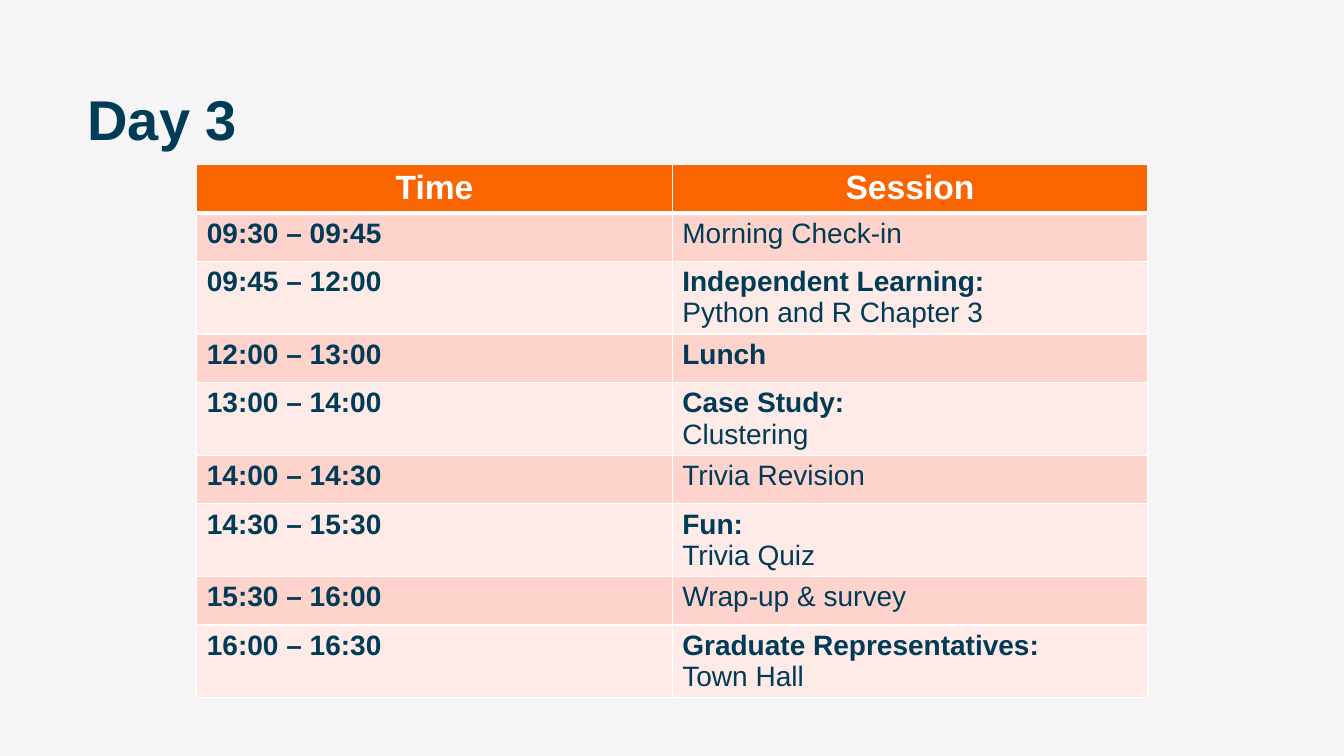
"""Build the Day 3 timetable slide."""
from lxml.etree import SubElement
from pptx import Presentation
from pptx.dml.color import RGBColor
from pptx.enum.text import MSO_ANCHOR, PP_ALIGN
from pptx.oxml.ns import qn
from pptx.util import Pt

TITLE = "Day 3"
HEADS = ["Time", "Session"]
ROWS = [
    ("09:30 – 09:45", "", "Morning Check-in"),
    ("09:45 – 12:00", "Independent Learning:", "Python and R Chapter 3"),
    ("12:00 – 13:00", "Lunch", ""),
    ("13:00 – 14:00", "Case Study:", "Clustering"),
    ("14:00 – 14:30", "", "Trivia Revision"),
    ("14:30 – 15:30", "Fun:", "Trivia Quiz"),
    ("15:30 – 16:00", "", "Wrap-up & survey"),
    ("16:00 – 16:30", "Graduate Representatives:", "Town Hall"),
]

FONT = "Arial"
PAPER = RGBColor(0xF5, 0xF5, 0xF6)
NAVY = RGBColor(0x00, 0x3C, 0x58)
INK = RGBColor(0x00, 0x3B, 0x57)
WHITE = RGBColor(0xFF, 0xFF, 0xFF)
ORANGE = RGBColor(0xFA, 0x64, 0x01)
PINK = RGBColor(0xFD, 0xD3, 0xCC)
PALE = RGBColor(0xFE, 0xEA, 0xE7)

LEFT, TOP, COL = 140.6, 117.4, 339.6
LOW, TALL = 34.56, 52.1


def add_run(para, text, size, color, bold):
    run = para.add_run()
    run.text = text
    run.font.name = FONT
    run.font.size = Pt(size)
    run.font.bold = bold
    run.font.color.rgb = color


def add_edges(cell, base):
    props = cell._tc.get_or_add_tcPr()
    for tag, width in (("lnL", 1), ("lnR", 1), ("lnT", 1), ("lnB", base)):
        line = SubElement(props, qn("a:" + tag), w=str(Pt(width)))
        fill = SubElement(line, qn("a:solidFill"))
        SubElement(fill, qn("a:srgbClr"), val=str(WHITE))


def fill_cell(cell, lines, size, color, back, align, base=1):
    add_edges(cell, base)
    cell.fill.solid()
    cell.fill.fore_color.rgb = back
    frame = cell.text_frame
    for i, (text, bold) in enumerate(lines):
        para = frame.add_paragraph() if i else frame.paragraphs[0]
        para.alignment = align
        add_run(para, text, size, color, bold)


def add_title(slide):
    title = slide.shapes.title
    title.left, title.top, title.width, title.height = map(Pt, (62.6, 64, 115, 53.3))
    frame = title.text_frame
    frame.margin_left = frame.margin_right = 0
    frame.margin_top = frame.margin_bottom = 0
    frame.vertical_anchor = MSO_ANCHOR.TOP
    para = frame.paragraphs[0]
    para.alignment = PP_ALIGN.LEFT
    para.line_spacing = 0.95
    para.space_after = Pt(10)
    add_run(para, TITLE, 40, NAVY, True)


def add_plan(slide):
    highs = [LOW] + [TALL if head and body else LOW for _, head, body in ROWS]
    table = slide.shapes.add_table(
        len(highs), len(HEADS), Pt(LEFT), Pt(TOP), Pt(COL * 2), Pt(sum(highs))
    ).table
    for row, high in zip(table.rows, highs):
        row.height = Pt(high)
    for col, text in enumerate(HEADS):
        fill_cell(table.cell(0, col), [(text, True)], 24, WHITE, ORANGE,
                  PP_ALIGN.CENTER, 3)
    for i, (time, head, body) in enumerate(ROWS, 1):
        back = PINK if i % 2 else PALE
        lines = [pair for pair in ((head, True), (body, False)) if pair[0]]
        for col, part in enumerate(([(time, True)], lines)):
            fill_cell(table.cell(i, col), part, 20, INK, back, PP_ALIGN.LEFT)


def main():
    deck = Presentation()
    deck.slide_width, deck.slide_height = Pt(960), Pt(540)
    slide = deck.slides.add_slide(deck.slide_layouts[5])
    slide.background.fill.solid()
    slide.background.fill.fore_color.rgb = PAPER
    add_title(slide)
    add_plan(slide)
    deck.save("out.pptx")


if __name__ == "__main__":
    main()
